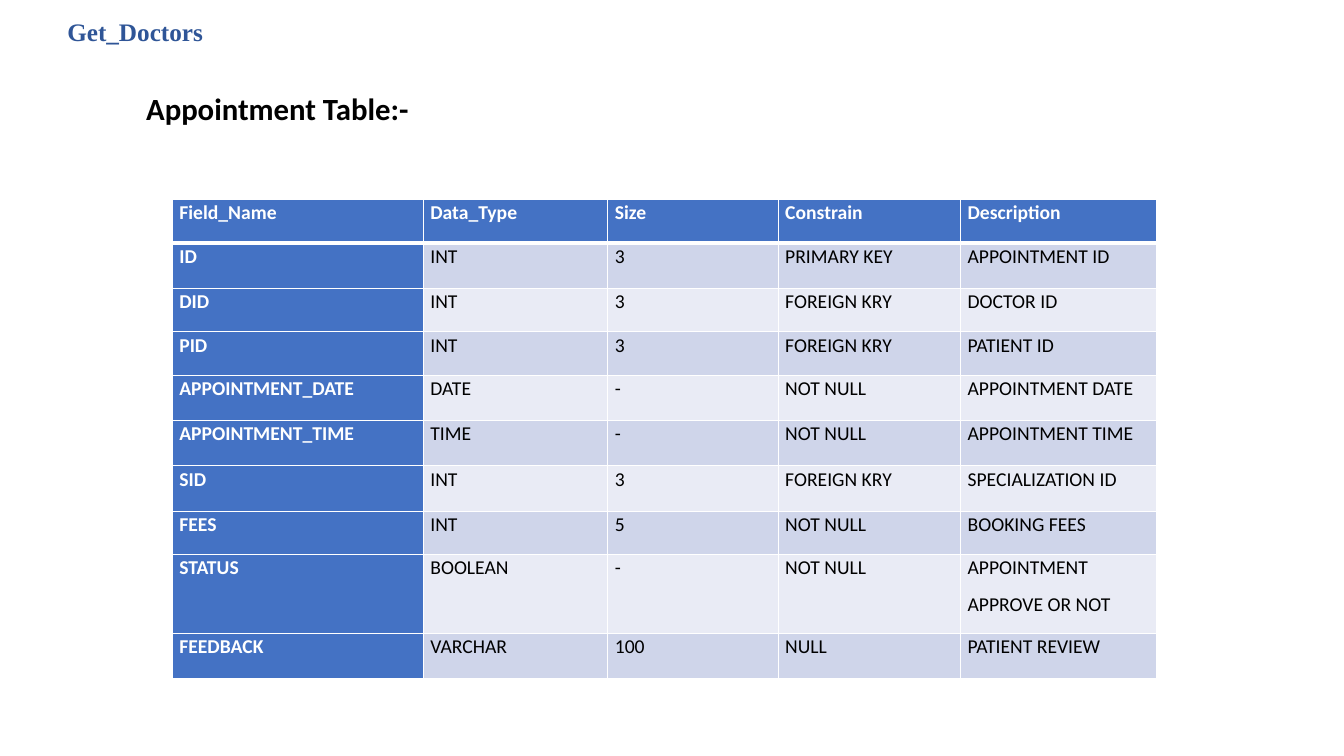
from lxml import etree
from pptx import Presentation
from pptx.dml.color import RGBColor
from pptx.enum import text
from pptx.oxml import ns
from pptx.util import Pt

HEADING = "Appointment Table:-"
PROJECT = "Get_Doctors"
FIELDS = [
    ("Field_Name", "Data_Type", "Size", "Constrain", "Description"),
    ("ID", "INT", "3", "PRIMARY KEY", "APPOINTMENT ID"),
    ("DID", "INT", "3", "FOREIGN KRY", "DOCTOR ID"),
    ("PID", "INT", "3", "FOREIGN KRY", "PATIENT ID"),
    ("APPOINTMENT_DATE", "DATE", "-", "NOT NULL", "APPOINTMENT DATE"),
    ("APPOINTMENT_TIME", "TIME", "-", "NOT NULL", "APPOINTMENT TIME"),
    ("SID", "INT", "3", "FOREIGN KRY", "SPECIALIZATION ID"),
    ("FEES", "INT", "5", "NOT NULL", "BOOKING FEES"),
    ("STATUS", "BOOLEAN", "-", "NOT NULL", "APPOINTMENT\nAPPROVE OR NOT"),
    ("FEEDBACK", "VARCHAR", "100", "NULL", "PATIENT REVIEW"),
]
COLUMN_WIDTHS = [179.3, 131.8, 121.7, 130.3, 139.7]
ROW_HEIGHTS = [31, 32.4, 31, 31, 32.4, 32.4, 32.4, 31, 56.2, 32.4]
TABLE_LEFT, TABLE_TOP = 123.1, 142.6

COLORS = {"ink": "000000", "white": "FFFFFF", "project": "2F5597",
          "header": "4472C4", "odd": "CFD5EA", "even": "E9EBF5"}
CELL_FORMAT = {"margin_left": Pt(5), "margin_right": Pt(5),
               "margin_top": 0, "margin_bottom": 0}
PARAGRAPH_FORMAT = {"alignment": text.PP_ALIGN.JUSTIFY,
                    "line_spacing": 1.07, "space_after": Pt(8)}
BOX_FORMAT = {"word_wrap": True, "vertical_anchor": text.MSO_ANCHOR.TOP,
              "auto_size": text.MSO_AUTO_SIZE.SHAPE_TO_FIT_TEXT}


def assign(target, values):
    for key, value in values.items():
        setattr(target, key, value)


def style_font(paragraph, size, color, bold=True, name="Calibri"):
    assign(paragraph.font, {"size": Pt(size), "bold": bold, "name": name})
    paragraph.font.color.rgb = RGBColor.from_string(COLORS[color])


def fill_box(box, bounds, words, size, color, name="Calibri"):
    assign(box, dict(zip(("left", "top", "width", "height"), map(Pt, bounds))))
    box.text_frame.text = words
    assign(box.text_frame, BOX_FORMAT)
    paragraph = box.text_frame.paragraphs[0]
    paragraph.alignment = text.PP_ALIGN.LEFT
    style_font(paragraph, size, color, name=name)


def add_borders(cell, row):
    properties = cell._tc.get_or_add_tcPr()
    widths = {"lnL": 1, "lnR": 1, "lnT": 3 if row == 1 else 1, "lnB": 3 if row == 0 else 1}
    for side, width in widths.items():
        line = etree.SubElement(properties, ns.qn(f"a:{side}"), w=str(Pt(width)))
        solid = etree.SubElement(line, ns.qn("a:solidFill"))
        etree.SubElement(solid, ns.qn("a:srgbClr"), val=COLORS["white"])


def fill_cell(cell, row, column, words):
    is_header = row == 0 or column == 0
    shade = "header" if is_header else "odd" if row % 2 else "even"
    add_borders(cell, row)
    cell.fill.solid()
    cell.fill.fore_color.rgb = RGBColor.from_string(COLORS[shade])
    assign(cell, CELL_FORMAT)
    cell.text = words
    for paragraph in cell.text_frame.paragraphs:
        assign(paragraph, PARAGRAPH_FORMAT)
        style_font(paragraph, 14, "white" if is_header else "ink", is_header)


def main():
    deck = Presentation()
    assign(deck, {"slide_width": Pt(960), "slide_height": Pt(540)})
    slide = deck.slides.add_slide(deck.slide_layouts[5])
    fill_box(slide.shapes.title, (97.2, 60.5, 278.6, 33.8), HEADING, 22, "ink")
    project = slide.shapes.add_textbox(0, 0, 0, 0)
    fill_box(project, (41, 7.9, 167, 28.8), PROJECT, 18, "project", "Times New Roman")

    frame = slide.shapes.add_table(
        len(FIELDS), len(COLUMN_WIDTHS), Pt(TABLE_LEFT), Pt(TABLE_TOP),
        Pt(sum(COLUMN_WIDTHS)), Pt(sum(ROW_HEIGHTS)))
    fields = frame.table
    for column, width in zip(fields.columns, COLUMN_WIDTHS):
        column.width = Pt(width)
    for row, height in zip(fields.rows, ROW_HEIGHTS):
        row.height = Pt(height)
    for row, entries in enumerate(FIELDS):
        for column, words in enumerate(entries):
            fill_cell(fields.cell(row, column), row, column, words)
    deck.save("out.pptx")


if __name__ == "__main__":
    main()
